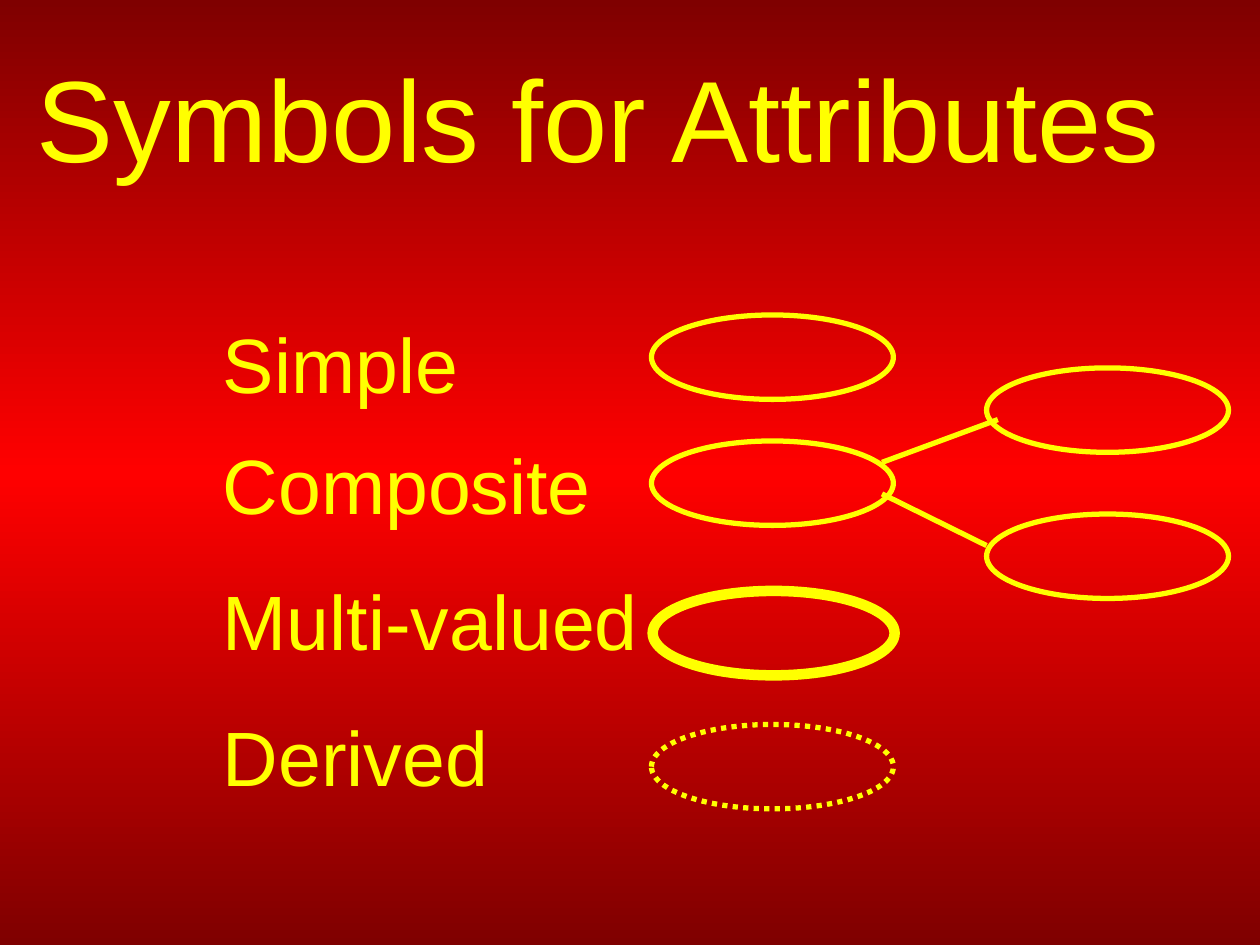
from copy import deepcopy

from pptx import Presentation
from pptx.dml.color import RGBColor
from pptx.enum import dml, shapes, text
from pptx.oxml import ns
from pptx.util import Inches, Pt
from lxml import etree

YELLOW = RGBColor(0xFF, 0xFF, 0x00)
RED = RGBColor(0xFF, 0x00, 0x00)
DARK = RGBColor(0x7F, 0x00, 0x00)
LEFT = 1.67
OVAL_X, OVAL_W, OVAL_H = 5.17, 1.92, 0.67
PART_X = 7.83


def style(para, size):
    para.font.name = "Arial"
    para.font.size = Pt(size)
    para.font.color.rgb = YELLOW


def paint(slide):
    fill = slide.background.fill
    fill.gradient()
    stops = slide.element.find(".//" + ns.qn("a:gsLst"))
    stops.append(deepcopy(stops[-1]))
    for stop, place, color in zip(fill.gradient_stops, (0, 0.5, 1), (DARK, RED, DARK)):
        stop.position = place
        stop.color.rgb = color
    fill.gradient_angle = 90


def title(slide, x, y, w, h):
    box = slide.shapes.title
    box.left, box.top, box.width, box.height = map(Inches, (x, y, w, h))
    frame = box.text_frame
    frame.text = "Symbols for Attributes"
    frame.auto_size = text.MSO_AUTO_SIZE.NONE
    frame.vertical_anchor = text.MSO_ANCHOR.MIDDLE
    para = frame.paragraphs[0]
    para.alignment = text.PP_ALIGN.CENTER
    style(para, 66)


def label(group, words, y, w, h=0.84, space=None):
    box = group.shapes.add_textbox(Inches(LEFT), Inches(y), Inches(w), Inches(h))
    frame = box.text_frame
    frame.text = words
    frame.word_wrap = space is not None
    frame.auto_size = text.MSO_AUTO_SIZE.SHAPE_TO_FIT_TEXT
    para = frame.paragraphs[0]
    para.line_spacing = space
    style(para, 44)


def oval(group, x, y, weight=3, dash=None):
    ring = group.shapes.add_shape(
        shapes.MSO_SHAPE.OVAL, Inches(x), Inches(y), Inches(OVAL_W), Inches(OVAL_H))
    ring.shadow.inherit = False
    ring.fill.background()
    ring.line.color.rgb = YELLOW
    ring.line.width = Pt(weight)
    if dash:
        ring.line.dash_style = dash


def link(group, *ends):
    line = group.shapes.add_connector(
        shapes.MSO_CONNECTOR.STRAIGHT, *map(Inches, ends))
    line.line.color.rgb = YELLOW
    line.line.width = Pt(3)
    props = line.element.find(ns.qn("p:spPr"))
    etree.SubElement(props, ns.qn("a:effectLst"))


def simple(group):
    oval(group, OVAL_X, 2.5)
    label(group, "Simple", 2.17, 2.83, 1.13, 1.4)


def composite(group):
    oval(group, OVAL_X, 3.5)
    for y in (2.92, 4.08):
        oval(group, PART_X, y)
    link(group, 7, 3.67, 7.92, 3.33)
    link(group, 7, 3.92, PART_X, 4.33)
    label(group, "Composite", 3.42, 3.15)


def multi(group):
    oval(group, 5.18, 4.69, 6)
    label(group, "Multi-valued", 4.5, 3.5)


def derived(group):
    oval(group, OVAL_X, 5.75, dash=dml.MSO_LINE.ROUND_DOT)
    label(group, "Derived", 5.58, 2.31)


def main():
    deck = Presentation()
    deck.slide_width, deck.slide_height = Inches(10), Inches(7.5)
    slide = deck.slides.add_slide(deck.slide_layouts[5])
    paint(slide)
    title(slide, 0, 0.3, 9.5, 1.25)
    for row in (simple, composite, multi, derived):
        row(slide.shapes.add_group_shape())
    deck.save("out.pptx")


if __name__ == "__main__":
    main()
